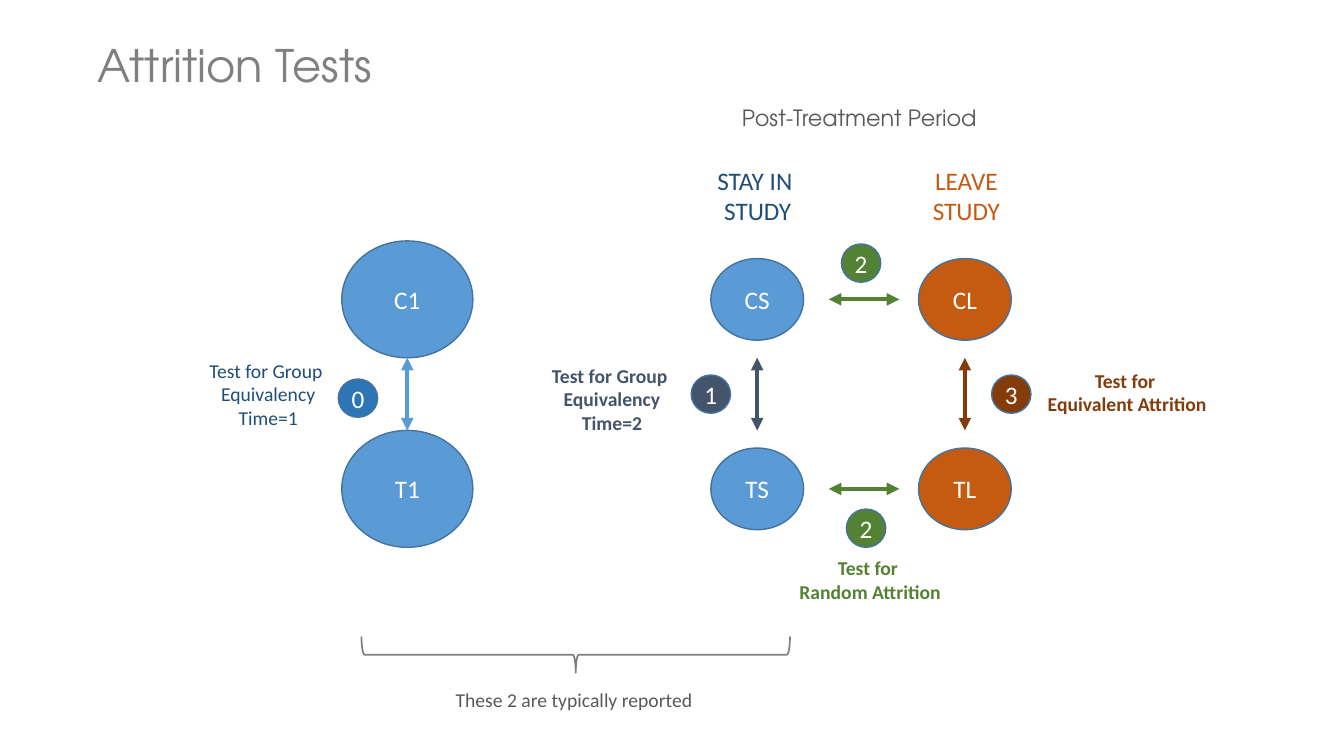
from lxml.etree import SubElement
from pptx import Presentation
from pptx.dml.color import RGBColor
from pptx.enum.shapes import MSO_CONNECTOR, MSO_SHAPE
from pptx.enum.text import MSO_ANCHOR, MSO_AUTO_SIZE, PP_ALIGN
from pptx.oxml.ns import qn
from pptx.util import Inches, Pt

WHITE = RGBColor(0xFF, 0xFF, 0xFF)
BLUE = RGBColor(0x5B, 0x9B, 0xD5)
MID = RGBColor(0x2E, 0x75, 0xB6)
NAVY = RGBColor(0x1F, 0x4E, 0x79)
EDGE = RGBColor(0x43, 0x73, 0x9E)
SLATE = RGBColor(0x44, 0x54, 0x6A)
GREEN = RGBColor(0x54, 0x82, 0x35)
ORANGE = RGBColor(0xC5, 0x5A, 0x11)
BROWN = RGBColor(0x84, 0x3C, 0x0B)
GRAY = RGBColor(0x80, 0x80, 0x80)
DARK = RGBColor(0x59, 0x59, 0x59)

BODY = "Calibri"
HEAD = "TeX Gyre Adventor"


def write(frame, text, size=14, color=WHITE, font=BODY, bold=False,
          align=PP_ALIGN.CENTER, anchor=MSO_ANCHOR.TOP):
    """Fill a text frame, one paragraph per line of text."""
    frame.text = text
    frame.word_wrap = False
    frame.auto_size = MSO_AUTO_SIZE.NONE
    frame.vertical_anchor = anchor
    for para in frame.paragraphs:
        para.alignment = align
        para.font.size = Pt(size)
        para.font.name = font
        para.font.bold = bold
        para.font.color.rgb = color


class Board:
    """Draws the elements of one slide in a shared style."""

    def __init__(self, slide):
        self.slide = slide
        self.shapes = slide.shapes

    def title(self, text, x, y, w, h):
        box = self.shapes.title
        box.left, box.top = Inches(x), Inches(y)
        box.width, box.height = Inches(w), Inches(h)
        write(box.text_frame, text, size=32, color=GRAY, font=HEAD,
              align=PP_ALIGN.LEFT)

    def label(self, text, x, y, w, h, **style):
        box = self.shapes.add_textbox(Inches(x), Inches(y), Inches(w), Inches(h))
        write(box.text_frame, text, **style)

    def disc(self, text, x, y, w, h, fill):
        """Draw an ellipse centred on x, y."""
        disc = self.shapes.add_shape(
            MSO_SHAPE.OVAL, Inches(x - w / 2), Inches(y - h / 2),
            Inches(w), Inches(h))
        disc.shadow.inherit = False
        disc.fill.solid()
        disc.fill.fore_color.rgb = fill
        disc.line.color.rgb = EDGE
        disc.line.width = Pt(1)
        write(disc.text_frame, text, size=18, anchor=MSO_ANCHOR.MIDDLE)

    def badge(self, text, x, y, fill):
        self.disc(text, x, y, 0.39, 0.38, fill)

    def arrow(self, x1, y1, x2, y2, color):
        """Draw a line with a head at both ends."""
        line = self.shapes.add_connector(
            MSO_CONNECTOR.STRAIGHT, Inches(x1), Inches(y1), Inches(x2), Inches(y2))
        line.line.color.rgb = color
        line.line.width = Pt(3)
        stroke = line.line._get_or_add_ln()
        for end in ("a:headEnd", "a:tailEnd"):
            SubElement(stroke, qn(end), type="triangle")
        SubElement(line._element.spPr, qn("a:effectLst"))

    def brace(self, x, y, w, h):
        brace = self.shapes.add_shape(
            MSO_SHAPE.RIGHT_BRACE, Inches(x), Inches(y), Inches(w), Inches(h))
        brace.rotation = 90
        brace.shadow.inherit = False
        brace.fill.background()
        brace.line.color.rgb = GRAY
        brace.line.width = Pt(1.25)


def main():
    deck = Presentation()
    deck.slide_width, deck.slide_height = Inches(13.33), Inches(7.5)
    board = Board(deck.slides.add_slide(deck.slide_layouts[5]))
    board.title("Attrition Tests", 0.87, 0.32, 2.98, 0.64)

    first, stay, leave = 4.04, 7.51, 9.57
    big, small = (1.3, 1.16), (0.92, 0.81)
    for group, y in (("C", 2.97), ("T", 4.85)):
        board.disc(group + "1", first, y, *big, BLUE)
        board.disc(group + "S", stay, y, *small, BLUE)
        board.disc(group + "L", leave, y, *small, ORANGE)
        board.arrow(8.22, y, 8.92, y, GREEN)
    for x, color in ((first, BLUE), (stay, SLATE), (leave, BROWN)):
        board.arrow(x, 3.55, x, 4.27, color)

    for text, x, y, fill in (
        ("0", 3.55, 3.95, MID),
        ("1", 7.05, 3.91, SLATE),
        ("2", 8.54, 2.61, GREEN),
        ("2", 8.59, 5.24, GREEN),
        ("3", 10.03, 3.91, BROWN),
    ):
        board.badge(text, x, y, fill)

    board.label("Test for Group \nEquivalency\nTime=1", 1.97, 3.51, 1.38, 0.81,
                color=NAVY)
    for text, x, y, w, h, color in (
        ("Test for Group \nEquivalency\nTime=2", 5.37, 3.56, 1.4, 0.81, SLATE),
        ("Test for \nRandom Attrition", 7.82, 5.47, 1.62, 0.57, GREEN),
        ("Test for \nEquivalent Attrition", 10.28, 3.61, 1.8, 0.57, BROWN),
    ):
        board.label(text, x, y, w, h, color=color, bold=True)

    board.label("STAY IN \nSTUDY", 7.01, 1.59, 1.01, 0.71, size=18, color=NAVY)
    board.label("LEAVE\nSTUDY", 9.15, 1.59, 0.87, 0.71, size=18, color=ORANGE)
    board.label("Post-Treatment Period", 7.26, 0.98, 2.58, 0.37, size=16,
                color=DARK, font=HEAD, align=PP_ALIGN.LEFT)

    board.brace(5.53, 4.37, 0.36, 4.25)
    board.label("These 2 are typically reported", 4.42, 6.78, 2.58, 0.34,
                color=DARK, align=PP_ALIGN.LEFT)
    deck.save("out.pptx")


if __name__ == "__main__":
    main()
